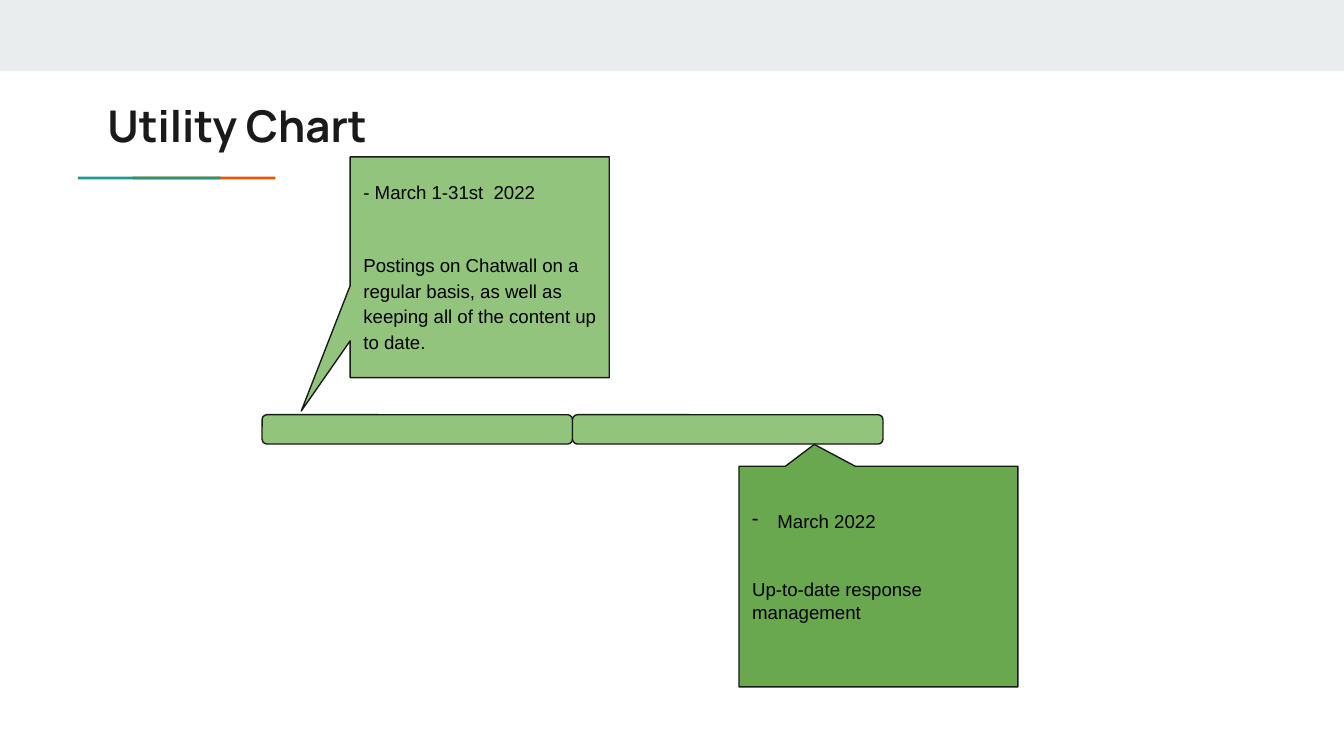
from dataclasses import dataclass

from lxml.etree import SubElement
from pptx import Presentation
from pptx.dml.color import RGBColor
from pptx.enum.shapes import MSO_SHAPE as Shape
from pptx.enum.text import MSO_ANCHOR as Anchor, PP_ALIGN as Align
from pptx.oxml.ns import qn
from pptx.util import Pt


@dataclass(frozen=True)
class Theme:
    band: str = "E9EDEE"
    teal: str = "1A9988"
    orange: str = "EB5600"
    ink: str = "1A1A1A"
    text: str = "000000"
    light_green: str = "93C47D"
    dark_green: str = "6AA84F"
    title_font: str = "Manrope"
    body_font: str = "Arial"
    title_size: float = 23.4
    body_size: float = 10
    outline: float = 0.75


THEME = Theme()
INSET = 7.2


def rgb(value):
    return RGBColor.from_string(value)


def add_block(slide, kind, box, fill, outlined=False, adjustments=()):
    shape = slide.shapes.add_shape(kind, *map(Pt, box))
    shape.shadow.inherit = False
    shape.fill.solid()
    shape.fill.fore_color.rgb = rgb(fill)
    if outlined:
        shape.line.color.rgb = rgb(THEME.ink)
        shape.line.width = Pt(THEME.outline)
    else:
        shape.line.fill.background()
    for index, value in enumerate(adjustments):
        shape.adjustments[index] = value
    return shape


def set_frame(shape, bottom=INSET):
    frame = shape.text_frame
    frame.word_wrap = True
    frame.vertical_anchor = Anchor.MIDDLE
    frame.margin_left = frame.margin_right = frame.margin_top = Pt(INSET)
    frame.margin_bottom = Pt(bottom)
    return frame


def set_text(paragraph, text, font, size, color, bold=False):
    paragraph.text = text
    paragraph.alignment = Align.LEFT
    paragraph.font.name = font
    paragraph.font.size = Pt(size)
    paragraph.font.color.rgb = rgb(color)
    paragraph.font.bold = bold


def add_dash_bullet(paragraph, indent):
    properties = paragraph._p.get_or_add_pPr()
    properties.set("marL", str(Pt(indent)))
    properties.set("indent", str(-Pt(indent)))
    SubElement(properties, qn("a:buChar")).set("char", "-")


def add_title(slide, text):
    title = slide.shapes.add_textbox(Pt(50.4), Pt(46), Pt(605.5), Pt(42.5))
    set_text(set_frame(title).paragraphs[0], text, THEME.title_font,
             THEME.title_size, THEME.ink, bold=True)


def add_callout(slide, box, fill, pointer, date, activity, gap, bottom=INSET):
    """Add a square-cornered callout and return its date and activity paragraphs."""
    shape = add_block(slide, Shape.ROUNDED_RECTANGULAR_CALLOUT, box, fill,
                      outlined=True, adjustments=(*pointer, 0))
    frame = set_frame(shape, bottom)
    paragraphs = frame.paragraphs[0], frame.add_paragraph()
    for paragraph, text in zip(paragraphs, (date, activity)):
        set_text(paragraph, text, THEME.body_font, THEME.body_size, THEME.text)
    paragraphs[1].space_before = Pt(gap)
    return paragraphs


def add_timeline(slide, left, top, width, height, count):
    for index in range(count):
        add_block(slide, Shape.ROUNDED_RECTANGLE,
                  (left + index * width, top, width, height),
                  THEME.light_green, outlined=True, adjustments=(0.167,))


def main():
    presentation = Presentation()
    presentation.slide_width, presentation.slide_height = Pt(720), Pt(405)
    slide = presentation.slides.add_slide(presentation.slide_layouts[6])

    add_block(slide, Shape.RECTANGLE, (0, 0, 720, 38.2), THEME.band)
    for left, color in ((71.2, THEME.orange), (41.8, THEME.teal)):
        add_block(slide, Shape.RECTANGLE, (left, 94.6, 76.3, 1.6), color)
    add_title(slide, "Utility Chart")

    add_timeline(slide, left=140.4, top=222.2, width=166.3, height=15.7, count=2)
    _, postings = add_callout(
        slide, (187.6, 84.1, 138.8, 118.2), THEME.light_green, (-0.689, 0.652),
        "- March 1-31st  2022",
        "Postings on Chatwall on a regular basis, as well as keeping all of "
        "the content up to date.", gap=25)
    postings.line_spacing = 1.15
    date, _ = add_callout(
        slide, (395.9, 249.8, 149.4, 118.2), THEME.dark_green, (-0.23, -0.599),
        "March 2022", "Up-to-date response management", gap=24.4, bottom=18)
    add_dash_bullet(date, indent=13.5)

    presentation.save("out.pptx")


if __name__ == "__main__":
    main()
